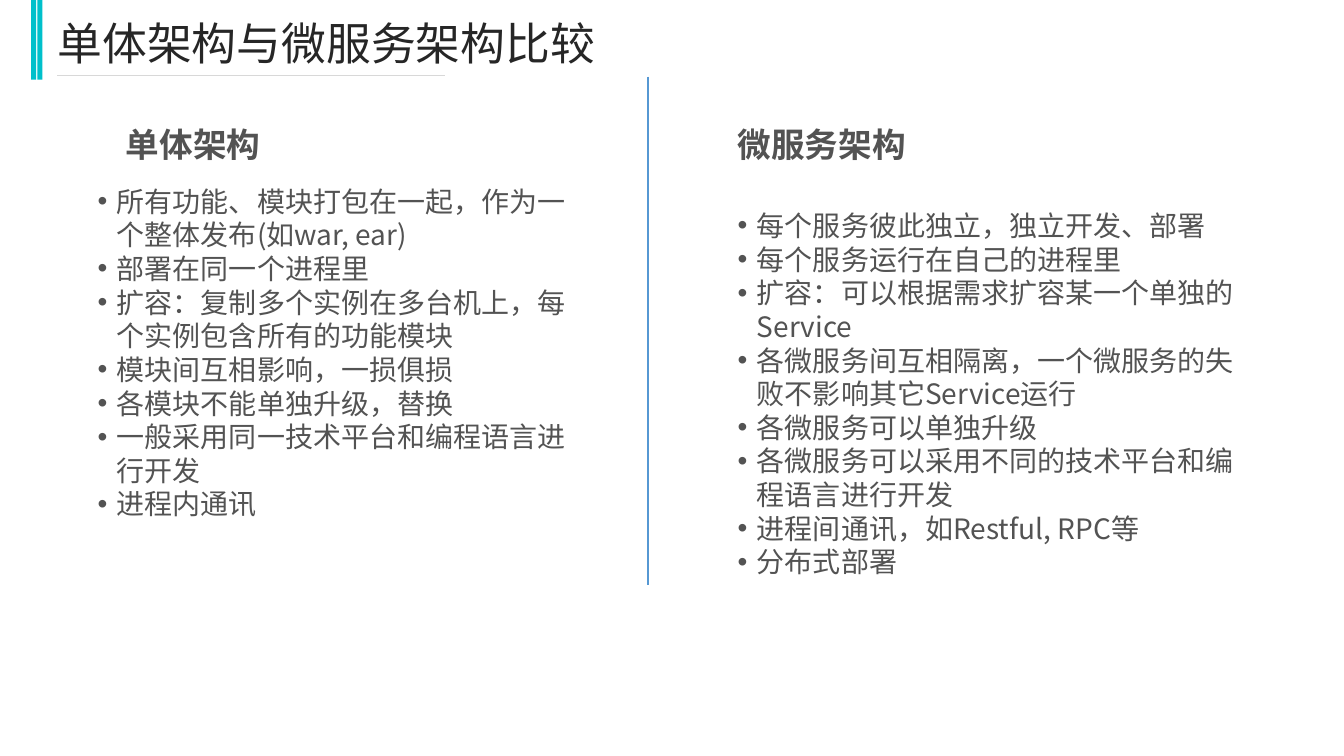
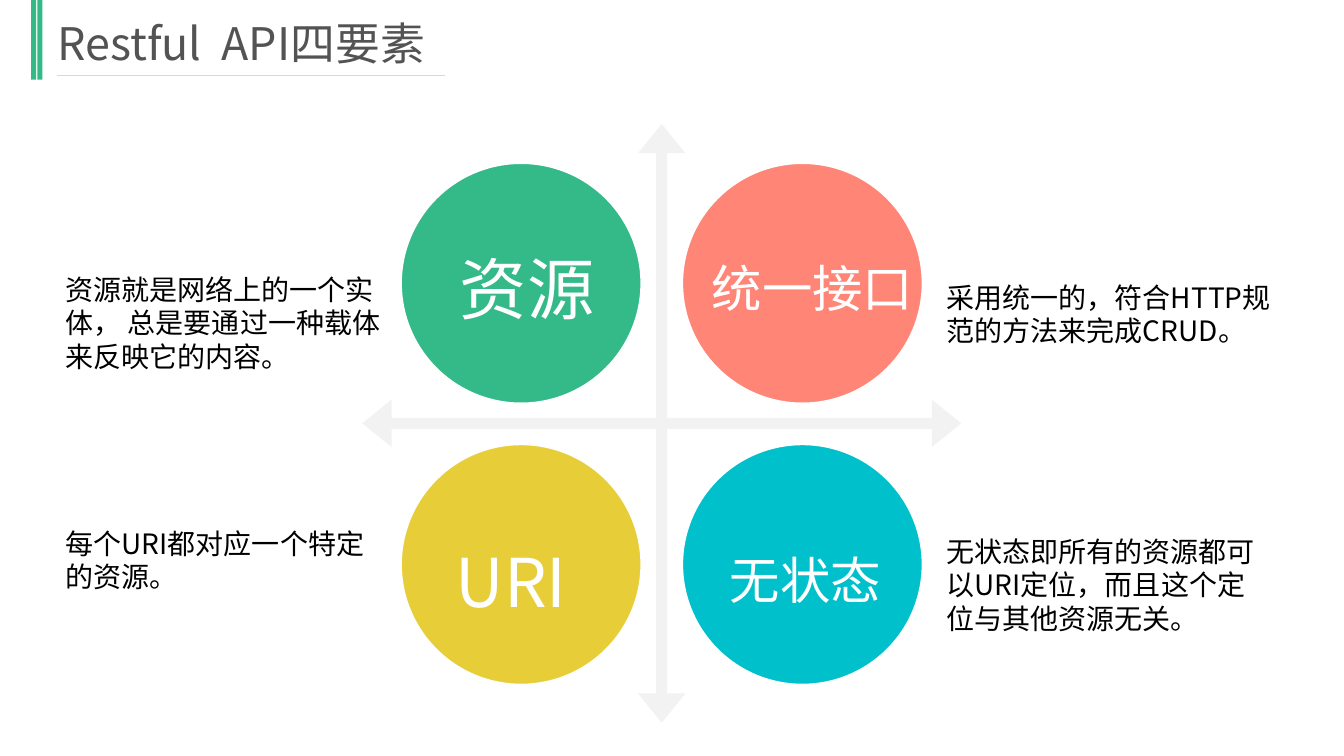
from dataclasses import dataclass
from typing import NamedTuple

from lxml.etree import SubElement
from pptx import Presentation
from pptx.dml.color import RGBColor
from pptx.enum.shapes import MSO_CONNECTOR, MSO_SHAPE
from pptx.enum.text import MSO_ANCHOR, MSO_AUTO_SIZE, PP_ALIGN
from pptx.oxml.ns import qn
from pptx.shapes.autoshape import Shape
from pptx.slide import Slide
from pptx.util import Inches, Length, Pt


@dataclass(frozen=True)
class Theme:
    font: str = "Noto Sans CJK SC"
    teal: str = "00C0CB"
    green: str = "34BA89"
    coral: str = "FF8577"
    yellow: str = "E7CE39"
    blue: str = "5698D3"
    white: str = "FFFFFF"
    black: str = "000000"
    dark: str = "262626"
    gray: str = "535353"
    rule: str = "D8D8D8"
    pale: str = "F2F2F2"
    title_size: int = 32
    heading_size: int = 24
    body_size: int = 20
    label_size: int = 36
    large_label_size: int = 48


class Box(NamedTuple):
    column: float
    row: float
    columns: float
    rows: float


class Point(NamedTuple):
    column: float
    row: float


@dataclass(frozen=True)
class Panel:
    heading: str
    heading_box: Box
    items: tuple[str, ...]
    items_box: Box


@dataclass(frozen=True)
class Element:
    label: str
    label_size: int
    label_box: Box
    color: str
    description: str
    description_box: Box


THEME = Theme()
GRID_COLUMNS = 133.33
GRID_ROWS = 75
CELL = Inches(0.1)
NARROW_INSETS = (0.5, 0.5)
NORMAL_INSETS = (1, 0.5)
BULLET_INDENT = 1.9


def cells(count: float) -> Length:
    return Length(round(count * CELL))


def place(box: Box) -> list[Length]:
    return [cells(length) for length in box]


def color_of(value: str) -> RGBColor:
    return RGBColor.from_string(value)


def paint(shape: Shape, fill: str, outline: str | None = None) -> None:
    shape.shadow.inherit = False
    shape.fill.solid()
    shape.fill.fore_color.rgb = color_of(fill)
    if outline is None:
        shape.line.fill.background()
    else:
        shape.line.color.rgb = color_of(outline)
        shape.line.width = Pt(1)


def add_shape(slide: Slide, kind: MSO_SHAPE, box: Box, fill: str, outline: str | None = None) -> None:
    paint(slide.shapes.add_shape(kind, *place(box)), fill, outline)


def add_line(slide: Slide, start: Point, end: Point, color: str, width: float) -> None:
    connector = slide.shapes.add_connector(
        MSO_CONNECTOR.STRAIGHT, *map(cells, start), *map(cells, end)
    )
    connector.line.color.rgb = color_of(color)
    connector.line.width = Pt(width)
    SubElement(connector._element.spPr, qn("a:effectLst"))


def add_text(
    slide: Slide,
    box: Box,
    *texts: str,
    size: int,
    color: str,
    bold: bool = False,
    bullet: bool = False,
    align: PP_ALIGN = PP_ALIGN.LEFT,
    anchor: MSO_ANCHOR = MSO_ANCHOR.TOP,
    insets: tuple[float, float] = NARROW_INSETS,
    line_spacing: float = 1.0,
    space_before: float = 0,
) -> None:
    frame = slide.shapes.add_textbox(*place(box)).text_frame
    frame.word_wrap = True
    frame.auto_size = MSO_AUTO_SIZE.SHAPE_TO_FIT_TEXT
    frame.vertical_anchor = anchor
    frame.margin_left = frame.margin_right = cells(insets[0])
    frame.margin_top = frame.margin_bottom = cells(insets[1])
    for index, text in enumerate(texts):
        paragraph = frame.add_paragraph() if index else frame.paragraphs[0]
        paragraph.alignment = align
        paragraph.line_spacing = line_spacing
        paragraph.space_before = Pt(space_before)
        if bullet:
            properties = paragraph._p.get_or_add_pPr()
            properties.set("marL", str(cells(BULLET_INDENT)))
            properties.set("indent", str(cells(-BULLET_INDENT)))
            SubElement(properties, qn("a:buFont"), typeface="Arial")
            SubElement(properties, qn("a:buChar"), char="•")
        run = paragraph.add_run()
        run.text = text
        run.font.name = THEME.font
        run.font.size = Pt(size)
        run.font.bold = bold
        run.font.color.rgb = color_of(color)
        SubElement(run._r.get_or_add_rPr(), qn("a:ea"), typeface=THEME.font)


def add_header(slide: Slide, title: str, columns: float, accent: str, color: str) -> None:
    for column in (3.1, 3.7):
        add_shape(slide, MSO_SHAPE.RECTANGLE, Box(column, 0, 0.5, 7.9), accent)
    add_text(slide, Box(5.2, 1.1, columns, 6.4), title, size=THEME.title_size, color=color)
    add_line(slide, Point(5.7, 7.45), Point(44.1, 7.45), THEME.rule, 0.75)


def add_panel(slide: Slide, panel: Panel) -> None:
    add_text(
        slide, panel.heading_box, panel.heading,
        size=THEME.heading_size, color=THEME.gray, bold=True,
        insets=NORMAL_INSETS, line_spacing=0.9, space_before=6,
    )
    add_text(
        slide, panel.items_box, *panel.items,
        size=THEME.body_size, color=THEME.gray, bullet=True, insets=NORMAL_INSETS,
    )


def add_cross_arrow(slide: Slide, center: Point) -> None:
    tip, base, head, shaft = 29.7, 26.8, 2.35, 0.55
    arm = [
        (shaft, -shaft), (base, -shaft), (base, -head),
        (tip, 0), (base, head), (base, shaft),
    ]
    outline = []
    for _ in range(4):
        outline += [
            (cells(center.column + across), cells(center.row + down)) for across, down in arm
        ]
        arm = [(-down, across) for across, down in arm]
    builder = slide.shapes.build_freeform(*outline[0])
    builder.add_line_segments(outline[1:], close=True)
    paint(builder.convert_to_shape(), THEME.pale)


def build_comparison(slide: Slide) -> None:
    add_header(slide, "单体架构与微服务架构比较", 65.4, THEME.teal, THEME.dark)
    for panel in PANELS:
        add_panel(slide, panel)
    add_line(slide, Point(64.3, 7.6), Point(64.3, 58), THEME.blue, 1.5)


def build_elements(slide: Slide) -> None:
    add_header(slide, "Restful  API四要素", 42.3, THEME.green, THEME.gray)
    add_cross_arrow(slide, Point(65.65, 42))
    diameter, pitch = 23.8, 27.9
    for index, element in enumerate(ELEMENTS):
        row, column = divmod(index, 2)
        circle = Box(39.8 + column * pitch, 16.2 + row * pitch, diameter, diameter)
        add_shape(slide, MSO_SHAPE.OVAL, circle, element.color, THEME.white)
        add_text(
            slide, element.label_box, element.label,
            size=element.label_size, color=THEME.white,
            align=PP_ALIGN.CENTER, anchor=MSO_ANCHOR.MIDDLE,
        )
        add_text(
            slide, element.description_box, element.description,
            size=THEME.body_size, color=THEME.black,
        )


PANELS = (
    Panel(
        "单体架构", Box(11.5, 12.3, 25.9, 4.6),
        (
            "所有功能、模块打包在一起，作为一个整体发布(如war, ear)",
            "部署在同一个进程里",
            "扩容：复制多个实例在多台机上，每个实例包含所有的功能模块",
            "模块间互相影响，一损俱损",
            "各模块不能单独升级，替换",
            "一般采用同一技术平台和编程语言进行开发",
            "进程内通讯",
        ),
        Box(8.7, 17.8, 48.5, 34.7),
    ),
    Panel(
        "微服务架构", Box(72.2, 12.3, 25.9, 4.6),
        (
            "每个服务彼此独立，独立开发、部署",
            "每个服务运行在自己的进程里",
            "扩容：可以根据需求扩容某一个单独的Service",
            "各微服务间互相隔离，一个微服务的失败不影响其它Service运行",
            "各微服务可以单独升级",
            "各微服务可以采用不同的技术平台和编程语言进行开发",
            "进程间通讯，如Restful, RPC等",
            "分布式部署",
        ),
        Box(72.2, 20.2, 53.5, 38),
    ),
)

ELEMENTS = (
    Element(
        "资源", THEME.large_label_size, Box(40.8, 24, 23, 9.1), THEME.green,
        "资源就是网络上的一个实体， 总是要通过一种载体来反映它的内容。",
        Box(6, 26.5, 33.3, 11.1),
    ),
    Element(
        "统一接口", THEME.label_size, Box(69.1, 25, 23, 7.1), THEME.coral,
        "采用统一的，符合HTTP规范的方法来完成CRUD。",
        Box(93.4, 27.3, 33.3, 7.7),
    ),
    Element(
        "URI", THEME.large_label_size, Box(39.2, 53.1, 23, 9.1), THEME.yellow,
        "每个URI都对应一个特定的资源。",
        Box(6, 51.7, 33.3, 7.7),
    ),
    Element(
        "无状态", THEME.label_size, Box(68.4, 53.9, 23, 7.1), THEME.teal,
        "无状态即所有的资源都可以URI定位，而且这个定位与其他资源无关。",
        Box(93.4, 52.5, 33.3, 11.1),
    ),
)


def main() -> None:
    presentation = Presentation()
    presentation.slide_width = cells(GRID_COLUMNS)
    presentation.slide_height = cells(GRID_ROWS)
    blank_layout = presentation.slide_layouts[6]
    for build in (build_comparison, build_elements):
        build(presentation.slides.add_slide(blank_layout))
    presentation.save("out.pptx")


main()
